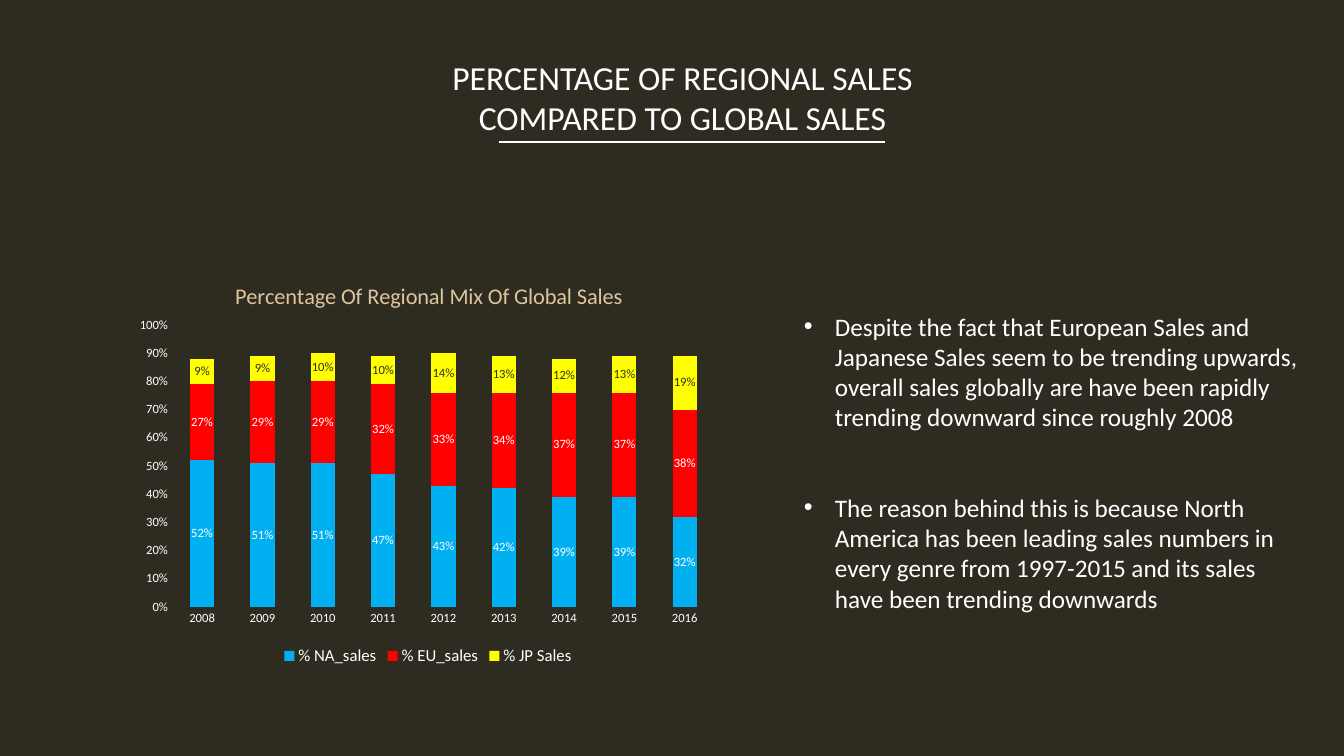
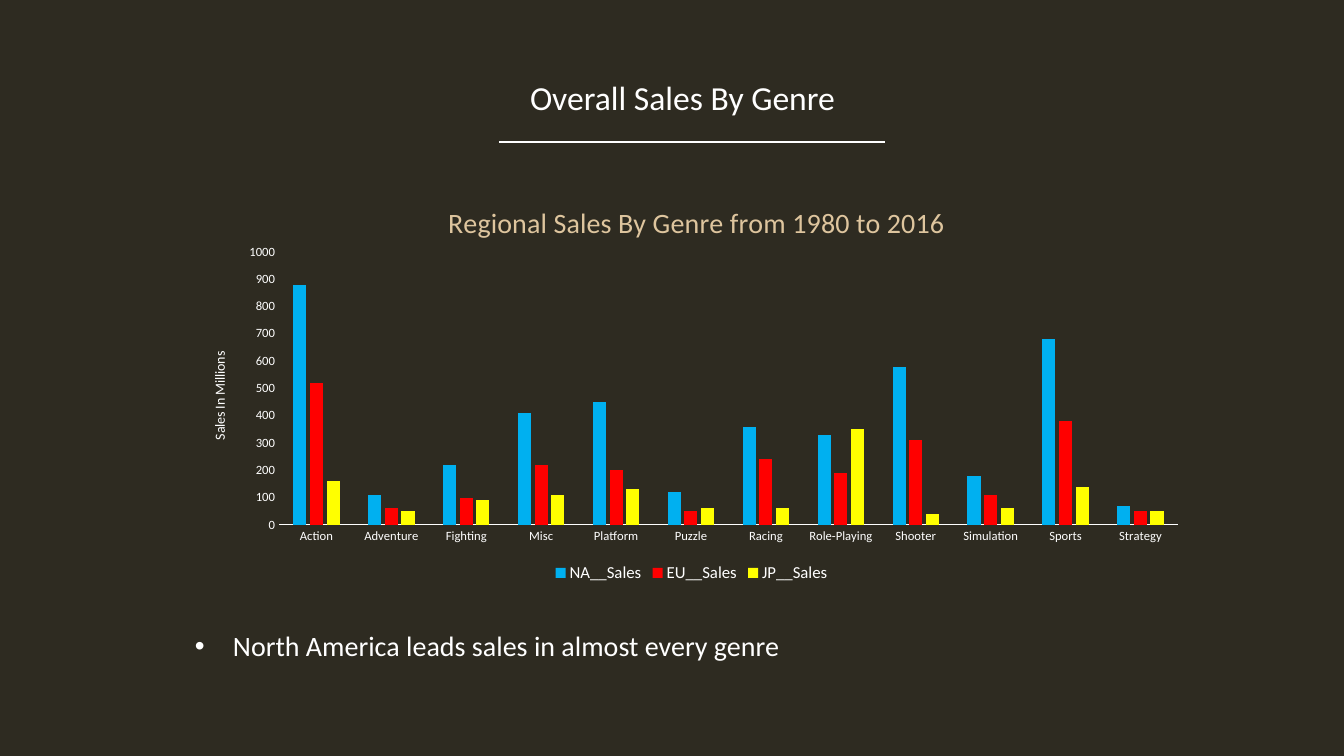
from lxml import etree
from pptx import Presentation
from pptx.chart.data import CategoryChartData
from pptx.dml.color import RGBColor
from pptx.enum.chart import XL_CHART_TYPE, XL_LEGEND_POSITION, XL_TICK_MARK
from pptx.enum.shapes import MSO_CONNECTOR
from pptx.enum.text import MSO_ANCHOR, MSO_AUTO_SIZE, PP_ALIGN
from pptx.oxml.ns import qn
from pptx.util import Emu, Pt

STACKED = XL_CHART_TYPE.COLUMN_STACKED
CLUSTERED = XL_CHART_TYPE.COLUMN_CLUSTERED
BOTTOM = XL_LEGEND_POSITION.BOTTOM
NO_TICK = XL_TICK_MARK.NONE
STRAIGHT = MSO_CONNECTOR.STRAIGHT
MIDDLE, TOP = MSO_ANCHOR.MIDDLE, MSO_ANCHOR.TOP
CENTER = PP_ALIGN.CENTER
NO_FIT = MSO_AUTO_SIZE.NONE

FONT = "Calibri"
BACKGROUND, WHITE, TAN, DARK = "2E2B21", "FFFFFF", "DEC59E", "302E28"
REGION_COLORS = ["00B0F0", "FF0000", "FFFF00"]
LABEL_COLORS = [WHITE, WHITE, DARK]
SLIDE_SIZE = (1344, 756)
EMU_PER_PX = 914400 / 100.8
TITLE_BOX = (419, 51, 527, 92)
RULE = (499, 142, 885, 142)

SLIDES = [
    {
        "title": "PERCENTAGE OF REGIONAL SALES\nCOMPARED TO GLOBAL SALES",
        "bullets": [
            "Despite the fact that European Sales and Japanese Sales seem to be "
            "trending upwards, overall sales globally are have been rapidly "
            "trending downward since roughly 2008",
            "The reason behind this is because North America has been leading "
            "sales numbers in every genre from 1997-2015 and its sales have "
            "been trending downwards",
        ],
        "bullet_box": (794, 306, 516, 314),
        "bullet_size": 18,
        "bullet_indent": 31,
        "chart": {
            "kind": STACKED,
            "box": (128, 259, 600, 411),
            "plot": (172, 325, 543, 282),
            "title": "Percentage Of Regional Mix Of Global Sales",
            "title_size": 16,
            "title_at": (231, 277),
            "axis_title": None,
            "axis_line": False,
            "format": "0%",
            "top": 1,
            "step": 0.1,
            "gap": 150,
            "overlap": 100,
            "labels": True,
            "categories": [str(year) for year in range(2008, 2017)],
            "series": {
                "% NA_sales": [0.52, 0.51, 0.51, 0.47, 0.43, 0.42, 0.39, 0.39, 0.32],
                "% EU_sales": [0.27, 0.29, 0.29, 0.32, 0.33, 0.34, 0.37, 0.37, 0.38],
                "% JP Sales": [0.09, 0.09, 0.1, 0.1, 0.14, 0.13, 0.12, 0.13, 0.19],
            },
        },
    },
    {
        "title": "Overall Sales By Genre",
        "bullets": ["North America leads sales in almost every genre"],
        "bullet_box": (185, 624, 994, 44),
        "bullet_size": 20,
        "bullet_indent": 38,
        "chart": {
            "kind": CLUSTERED,
            "box": (185, 178, 1013, 409),
            "plot": (279, 252, 899, 273),
            "title": "Regional Sales By Genre from 1980 to 2016",
            "title_size": 20,
            "title_at": (443, 198),
            "axis_title": "Sales In Millions",
            "axis_title_at": (208, 349),
            "axis_line": True,
            "format": "General",
            "top": 1000,
            "step": 100,
            "gap": 219,
            "overlap": -27,
            "labels": False,
            "categories": ["Action", "Adventure", "Fighting", "Misc", "Platform",
                           "Puzzle", "Racing", "Role-Playing", "Shooter",
                           "Simulation", "Sports", "Strategy"],
            "series": {
                "NA__Sales": [880, 110, 220, 410, 450, 120, 360, 330, 580, 180, 680, 70],
                "EU__Sales": [520, 60, 100, 220, 200, 50, 240, 190, 310, 110, 380, 50],
                "JP__Sales": [160, 50, 90, 110, 130, 60, 60, 350, 40, 60, 140, 50],
            },
        },
    },
]


def px(*lengths):
    return [Emu(round(length * EMU_PER_PX)) for length in lengths]


def rgb(color):
    return RGBColor.from_string(color)


def style(font, size, color=WHITE):
    font.name = FONT
    font.size = Pt(size)
    font.bold = False
    font.color.rgb = rgb(color)


def add_title(slide, text):
    title = slide.shapes.title
    title.left, title.top, title.width, title.height = px(*TITLE_BOX)
    frame = title.text_frame
    frame.text = text
    frame.auto_size = NO_FIT
    frame.vertical_anchor = MIDDLE
    for line in frame.paragraphs:
        line.alignment = CENTER
        style(line.runs[0].font, 24)


def add_rule(slide):
    rule = slide.shapes.add_connector(STRAIGHT, *px(*RULE))
    rule.line.color.rgb = rgb(WHITE)
    rule.line.width = Pt(1.5)
    etree.SubElement(rule._element.spPr, qn("a:effectLst"))


def add_bullets(slide, texts, box, size, indent):
    frame = slide.shapes.add_textbox(*px(*box)).text_frame
    frame.word_wrap = True
    frame.vertical_anchor = TOP
    frame.text = "\n".join(texts)
    hang = px(indent)[0]
    for number, point in enumerate(frame.paragraphs):
        properties = point._p.get_or_add_pPr()
        properties.set("marL", str(hang))
        properties.set("indent", str(-hang))
        if number:
            point.space_before = Pt(43)
        etree.SubElement(properties, qn("a:buFont")).set("typeface", "Arial")
        etree.SubElement(properties, qn("a:buChar")).set("char", "•")
        style(point.runs[0].font, size)


def place(parent, index, chart_box, left, top, width=None, height=None):
    for old in parent.findall(qn("c:layout")):
        parent.remove(old)
    layout = etree.Element(qn("c:layout"))
    parent.insert(index, layout)
    manual = etree.SubElement(layout, qn("c:manualLayout"))
    chart_left, chart_top, chart_width, chart_height = chart_box
    settings = {"xMode": "edge", "yMode": "edge",
                "x": (left - chart_left) / chart_width,
                "y": (top - chart_top) / chart_height}
    if width:
        settings = {"layoutTarget": "inner", **settings,
                    "w": width / chart_width, "h": height / chart_height}
    for tag, value in settings.items():
        etree.SubElement(manual, qn("c:" + tag)).set("val", str(value))


def write_chart_title(title, text, size, color, box, at):
    title.text_frame.text = text
    style(title.text_frame.paragraphs[0].runs[0].font, size, color)
    place(title._element, 1, box, *at)


def format_axes(chart, content):
    category, value = chart.category_axis, chart.value_axis
    for axis in (category, value):
        axis.has_major_gridlines = False
        axis.major_tick_mark = axis.minor_tick_mark = NO_TICK
        axis.format.line.fill.background()
        style(axis.tick_labels.font, 9)
    if content["axis_line"]:
        category.format.line.color.rgb = rgb(WHITE)
        category.format.line.width = Pt(0.75)
    value.minimum_scale = 0
    value.maximum_scale = content["top"]
    value.major_unit = content["step"]
    value.tick_labels.number_format = content["format"]
    value.tick_labels.number_format_is_linked = False
    if content["axis_title"]:
        write_chart_title(value.axis_title, content["axis_title"], 10, WHITE,
                          content["box"], content["axis_title_at"])


def format_series(plot, content):
    plot.gap_width = content["gap"]
    plot.overlap = content["overlap"]
    plot.vary_by_categories = False
    for region, fill, label in zip(plot.series, REGION_COLORS, LABEL_COLORS):
        region.format.fill.solid()
        region.format.fill.fore_color.rgb = rgb(fill)
        if content["labels"]:
            labels = region.data_labels
            labels.show_value = True
            labels.number_format = content["format"]
            labels.number_format_is_linked = False
            style(labels.font, 9, label)


def add_sales_chart(slide, content):
    data = CategoryChartData(number_format=content["format"])
    data.categories = content["categories"]
    for name, values in content["series"].items():
        data.add_series(name, values)
    box = content["box"]
    chart = slide.shapes.add_chart(content["kind"], *px(*box), data).chart
    style(chart.font, 10)
    chart.has_title = True
    write_chart_title(chart.chart_title, content["title"], content["title_size"],
                      TAN, box, content["title_at"])
    chart.has_legend = True
    chart.legend.position = BOTTOM
    chart.legend.include_in_layout = False
    style(chart.legend.font, 12)
    format_axes(chart, content)
    format_series(chart.plots[0], content)
    place(chart._chartSpace.chart.plotArea, 0, box, *content["plot"])


def main():
    deck = Presentation()
    deck.slide_width, deck.slide_height = px(*SLIDE_SIZE)
    backdrop = deck.slide_master.background.fill
    backdrop.solid()
    backdrop.fore_color.rgb = rgb(BACKGROUND)
    title_only = deck.slide_layouts.get_by_name("Title Only")
    for content in SLIDES:
        slide = deck.slides.add_slide(title_only)
        add_title(slide, content["title"])
        add_rule(slide)
        add_bullets(slide, content["bullets"], content["bullet_box"],
                    content["bullet_size"], content["bullet_indent"])
        add_sales_chart(slide, content["chart"])
    deck.save("out.pptx")


if __name__ == "__main__":
    main()
